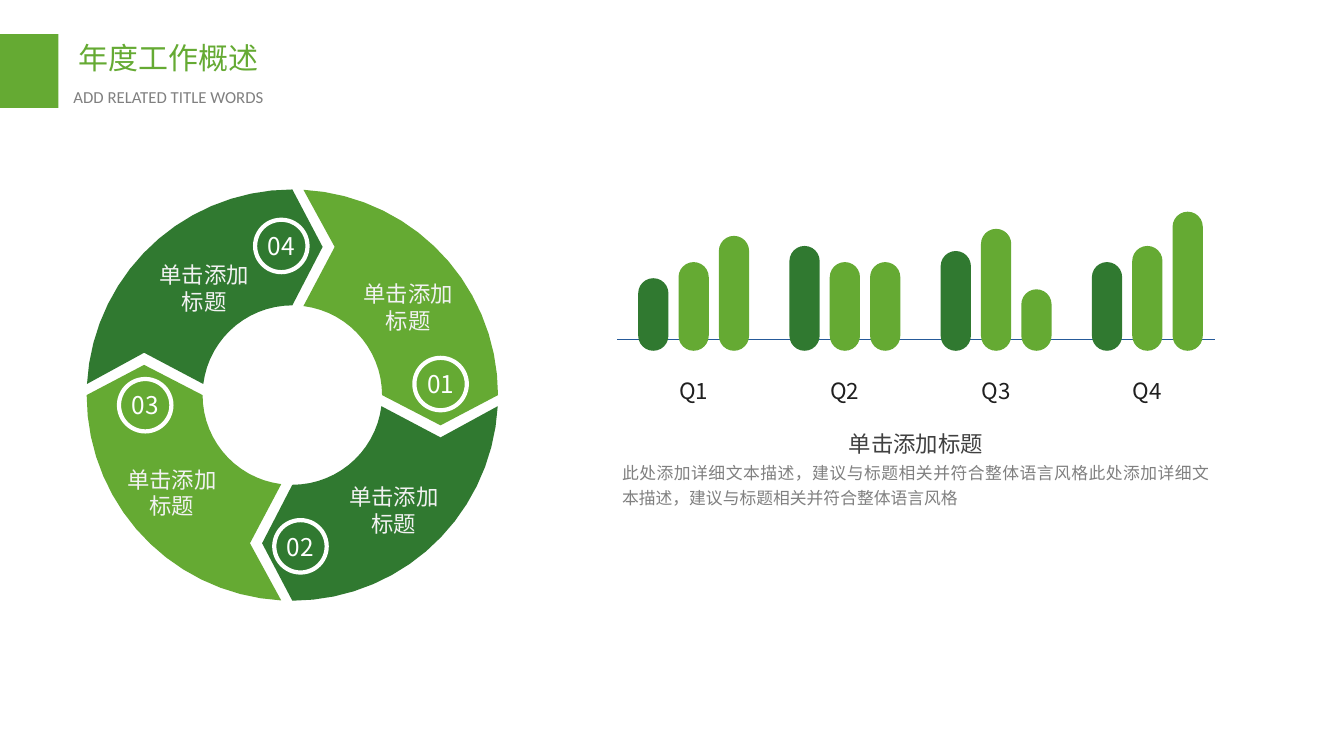
from math import asin, cos, pi, sin

from lxml import etree
from pptx import Presentation
from pptx.dml.color import RGBColor
from pptx.enum.shapes import MSO_CONNECTOR, MSO_SHAPE
from pptx.enum.text import MSO_ANCHOR, PP_ALIGN
from pptx.oxml.ns import qn
from pptx.util import Inches, Pt

RECTANGLE, PILL, OVAL = MSO_SHAPE.RECTANGLE, MSO_SHAPE.ROUNDED_RECTANGLE, MSO_SHAPE.OVAL
STRAIGHT = MSO_CONNECTOR.STRAIGHT
CENTER, JUSTIFY = PP_ALIGN.CENTER, PP_ALIGN.JUSTIFY
TOP, MIDDLE = MSO_ANCHOR.TOP, MSO_ANCHOR.MIDDLE

# Content
TITLE = "年度工作概述"
SUBTITLE = "ADD RELATED TITLE WORDS"
QUARTERS = {  # bar heights in inches
    "Q1": (0.72, 0.88, 1.14),
    "Q2": (1.04, 0.88, 0.88),
    "Q3": (0.99, 1.21, 0.61),
    "Q4": (0.88, 1.04, 1.38),
}
HEADING = "单击添加标题"
DESCRIPTION = "此处添加详细文本描述，建议与标题相关并符合整体语言风格" * 2
# number, badge left and top, caption, caption left, top and width, colour
SEGMENTS = [
    ("01", (4.11, 3.55), "单击添加标题", (3.53, 2.76, 1.04), "light"),
    ("02", (2.72, 5.16), "单击添加标题", (3.33, 4.77, 1.15), "dark"),
    ("03", (1.18, 3.76), "单击添加标题", (1.13, 4.6, 1.15), "light"),
    ("04", (2.53, 2.18), "单击添加标题", (1.45, 2.57, 1.15), "dark"),
]

COLORS = {
    "light": "65AA33", "dark": "307930", "axis": "265A99", "white": "FFFFFF",
    "caption": "F2F2F2", "label": "1F1F1F", "heading": "404040", "gray": "808080",
}
CJK, LATIN = "Noto Sans CJK SC", "Calibri"

# Layout
RING_X, RING_Y, OUTER, INNER = 2.9, 3.92, 2.04, 0.89
TIP, NOTCH = (1.47, 0.3), (0.42, -1.47)
ARC_STEPS = 15
BADGE = 0.52
CHART_LEFT, CHART_WIDTH, AXIS_Y = 6.12, 5.93, 3.37
BAR_LEFT, BAR_BOTTOM, BAR_WIDTH, BAR_PITCH, GROUP_PITCH = 6.33, 3.48, 0.3, 0.4, 1.5

presentation = Presentation()
presentation.slide_width, presentation.slide_height = Inches(13.33), Inches(7.5)
slide = presentation.slides.add_slide(presentation.slide_layouts[6])


def color(name):
    return RGBColor.from_string(COLORS[name])


def style(shape, fill=None, line=None, line_width=0):
    shape.shadow.inherit = False
    if fill:
        shape.fill.solid()
        shape.fill.fore_color.rgb = color(fill)
    else:
        shape.fill.background()
    if line:
        shape.line.color.rgb = color(line)
        shape.line.width = Pt(line_width)
    else:
        shape.line.fill.background()


def add_block(kind, left, top, width, height, **look):
    shape = slide.shapes.add_shape(kind, *map(Inches, (left, top, width, height)))
    style(shape, **look)
    return shape


def write(shape, lines, insets, anchor=TOP):
    """Each line is text, size, colour, font, alignment, line spacing."""
    frame = shape.text_frame
    frame.word_wrap = True
    frame.vertical_anchor = anchor
    frame.margin_left = frame.margin_right = Inches(insets[0])
    frame.margin_top = frame.margin_bottom = Inches(insets[1])
    for index, (text, size, tint, font, alignment, spacing) in enumerate(lines):
        paragraph = frame.add_paragraph() if index else frame.paragraphs[0]
        paragraph.alignment = alignment
        paragraph.line_spacing = spacing
        run = paragraph.add_run()
        run.text = text
        run.font.size = Pt(size)
        run.font.name = font
        run.font.color.rgb = color(tint)
        east_asian = etree.SubElement(run._r.get_or_add_rPr(), qn("a:ea"))
        east_asian.set("typeface", font)


def add_text(left, top, width, height, lines, insets):
    box = slide.shapes.add_textbox(*map(Inches, (left, top, width, height)))
    write(box, lines, insets)


def arc(radius, start, end):
    angles = [start + (end - start) * step / ARC_STEPS for step in range(ARC_STEPS + 1)]
    return [(radius * cos(angle), radius * sin(angle)) for angle in angles]


def add_segment(quarter_turns, fill):
    outline = (arc(OUTER, asin(0.11 / OUTER) - pi / 2, 0) + [TIP]
               + arc(INNER, 0, asin(0.11 / INNER) - pi / 2) + [NOTCH])
    for _ in range(quarter_turns):
        outline = [(-y, x) for x, y in outline]
    points = [(Inches(RING_X + x), Inches(RING_Y + y)) for x, y in outline]
    builder = slide.shapes.build_freeform(*points[0], scale=1.0)
    builder.add_line_segments(points[1:], close=True)
    style(builder.convert_to_shape(), fill=fill)


# Header
add_block(RECTANGLE, 0, 0.34, 0.58, 0.73, fill="light")
add_text(0.68, 0.34, 2.68, 0.46, [(TITLE, 21.4, "light", CJK, JUSTIFY, None)], (0.1, 0.05))
add_text(0.63, 0.81, 2.97, 0.3, [(SUBTITLE, 12, "gray", LATIN, JUSTIFY, None)], (0.1, 0.05))

# Quarterly bars on their axis
axis = slide.shapes.add_connector(
    STRAIGHT, *map(Inches, (CHART_LEFT, AXIS_Y, CHART_LEFT + CHART_WIDTH, AXIS_Y)))
axis.line.color.rgb = color("axis")
axis.line.width = Pt(1)
etree.SubElement(axis._element.spPr, qn("a:effectLst"))
for group, (quarter, heights) in enumerate(QUARTERS.items()):
    group_left = BAR_LEFT + group * GROUP_PITCH
    for index, height in enumerate(heights):
        bar = add_block(PILL, group_left + index * BAR_PITCH, BAR_BOTTOM - height,
                        BAR_WIDTH, height, fill="light" if index else "dark")
        bar.adjustments[0] = 0.5
    add_text(group_left + 0.32, 3.69, 0.46, 0.37,
             [(quarter, 16, "label", CJK, CENTER, None)], (0, 0.05))

# Description under the bars
add_text(CHART_LEFT, 4.25, CHART_WIDTH, 0.82,
         [(HEADING, 16, "heading", CJK, CENTER, None),
          (DESCRIPTION, 12, "gray", CJK, JUSTIFY, 1.25)], (0.05, 0.02))

# Ring of four arrows, clockwise from the top right
for turns, (number, badge_at, caption, caption_at, fill) in enumerate(SEGMENTS):
    add_segment(turns, fill)
    badge = add_block(OVAL, *badge_at, BADGE, BADGE, line="white", line_width=3)
    write(badge, [(number, 17.4, "white", CJK, CENTER, None)], (0, 0), MIDDLE)
    add_text(*caption_at, 0.59, [(caption, 16, "caption", CJK, CENTER, None)], (0.05, 0.02))

presentation.save("out.pptx")
